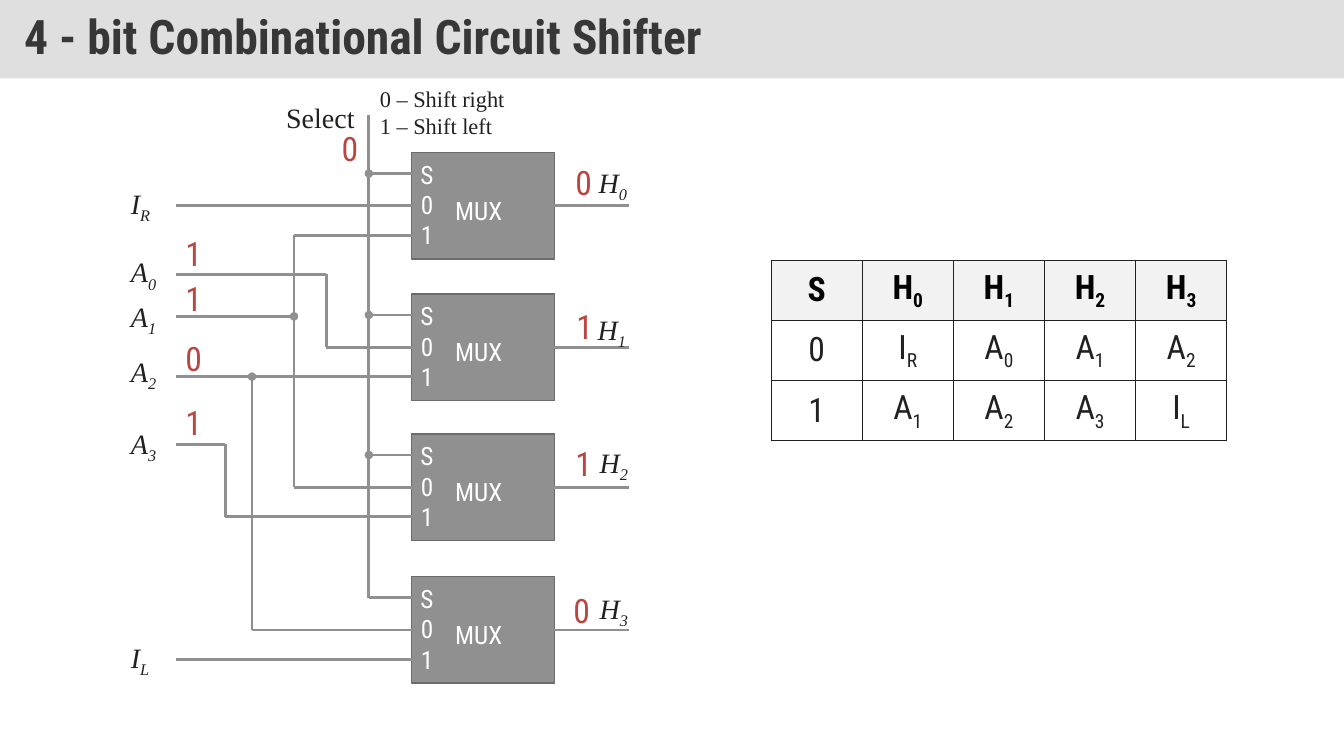
from dataclasses import dataclass
from itertools import pairwise

from pptx import Presentation
from pptx.dml.color import RGBColor
from pptx.enum.shapes import MSO_CONNECTOR, MSO_SHAPE
from pptx.enum.text import MSO_ANCHOR, MSO_AUTO_SIZE, PP_ALIGN
from pptx.oxml import parse_xml
from pptx.oxml.ns import nsdecls, qn
from pptx.util import Pt


@dataclass(frozen=True)
class TextStyle:
    font: str
    size: int
    color: str
    bold: bool = False
    italic: bool = False
    align: PP_ALIGN = PP_ALIGN.LEFT


@dataclass(frozen=True)
class Theme:
    title: TextStyle = TextStyle("Roboto Condensed", 34, "373737", bold=True)
    mux: TextStyle = TextStyle("Roboto Condensed", 18, "FFFFFF", align=PP_ALIGN.CENTER)
    signal: TextStyle = TextStyle("Times New Roman", 20, "212121", italic=True)
    select: TextStyle = TextStyle("Times New Roman", 20, "212121")
    legend: TextStyle = TextStyle("Times New Roman", 16, "212121")
    bit: TextStyle = TextStyle("Roboto Condensed", 24, "B84742")
    header: TextStyle = TextStyle("Roboto Condensed", 24, "000000", bold=True, align=PP_ALIGN.CENTER)
    body: TextStyle = TextStyle("Roboto Condensed", 24, "212121", align=PP_ALIGN.CENTER)
    title_band: str = "C0C0C0"
    gray: str = "909090"
    outline: str = "6B6B6B"
    header_fill: str = "F2F2F2"
    border: str = "212121"


THEME = Theme()


def write(paragraph, text, style):
    """Write text in a style; the part after an underscore becomes a subscript."""
    paragraph.alignment = style.align
    for index, part in enumerate(text.split("_")):
        run = paragraph.add_run()
        run.text = part
        run.font.name = style.font
        run.font.size = Pt(style.size)
        run.font.bold = style.bold
        run.font.italic = style.italic
        run.font.color.rgb = RGBColor.from_string(style.color)
        if index:
            run._r.get_or_add_rPr().set("baseline", "-25000")


presentation = Presentation()
presentation.slide_width, presentation.slide_height = Pt(960), Pt(540)
slide = presentation.slides.add_slide(presentation.slide_layouts[5])

# Title band
title = slide.shapes.title
title.left, title.top, title.width, title.height = Pt(0), Pt(0), Pt(960), Pt(56)
title.fill.solid()
title.fill.fore_color.rgb = RGBColor.from_string(THEME.title_band)
band_color = title._element.spPr.find(".//" + qn("a:srgbClr"))
band_color.append(parse_xml(f'<a:alpha {nsdecls("a")} val="50000"/>'))
frame = title.text_frame
frame.auto_size = MSO_AUTO_SIZE.NONE
frame.word_wrap = True
frame.vertical_anchor = MSO_ANCHOR.MIDDLE
frame.margin_left = frame.margin_right = Pt(17.28)
frame.margin_top = frame.margin_bottom = Pt(8.64)
frame.paragraphs[0].line_spacing = 0.9
write(frame.paragraphs[0], "4 - bit Combinational Circuit Shifter", THEME.title)

# Multiplexers, with the wire positions of their inputs and outputs
mux_left, mux_width, mux_height = 294, 102, 76
mux_right = mux_left + mux_width
mux_tops = [109, 210, 310, 412]
select_rows = [top + 15 for top in mux_tops]
zero_rows = [top + mux_height // 2 for top in mux_tops]
one_rows = [top + 59 for top in mux_tops]
sockets = {}
for top, middle in zip(mux_tops, zero_rows):
    mux = slide.shapes.add_shape(
        MSO_SHAPE.RECTANGLE, Pt(mux_left), Pt(top), Pt(mux_width), Pt(mux_height))
    mux.shadow.inherit = False
    mux.fill.solid()
    mux.fill.fore_color.rgb = RGBColor.from_string(THEME.gray)
    mux.line.color.rgb = RGBColor.from_string(THEME.outline)
    mux.line.width = Pt(1)
    sockets[mux_left, middle] = (mux, 1)
    sockets[mux_right, middle] = (mux, 3)

# Wires: corner points, and whether the first point is a junction dot
input_left, select_x, a0_x, a1_x, a2_x, a3_x = 126, 263.5, 233, 210, 180, 161
a0_y, a1_y, a3_y = 196, 226, 317.5
wires = [
    ([(select_x, 82), (select_x, select_rows[3]), (mux_left, select_rows[3])], False),
    ([(input_left, zero_rows[0]), (mux_left, zero_rows[0])], False),
    ([(input_left, a0_y), (a0_x, a0_y), (a0_x, zero_rows[1]), (mux_left, zero_rows[1])], False),
    ([(a1_x, a1_y), (input_left, a1_y)], True),
    ([(mux_left, one_rows[0]), (a1_x, one_rows[0]), (a1_x, zero_rows[2]),
      (mux_left, zero_rows[2])], False),
    ([(input_left, one_rows[1]), (mux_left, one_rows[1])], False),
    ([(a2_x, one_rows[1]), (a2_x, zero_rows[3]), (mux_left, zero_rows[3])], True),
    ([(input_left, a3_y), (a3_x, a3_y), (a3_x, one_rows[2]), (mux_left, one_rows[2])], False),
    ([(input_left, one_rows[3]), (mux_left, one_rows[3])], False),
]
wires += [([(select_x, y), (mux_left, y)], True) for y in select_rows[:3]]
wires += [([(mux_right, y), (449, y)], False) for y in zero_rows]

for points, dotted in wires:
    for start, end in pairwise(points):
        wire = slide.shapes.add_connector(
            MSO_CONNECTOR.STRAIGHT, Pt(start[0]), Pt(start[1]), Pt(end[0]), Pt(end[1]))
        wire.line.color.rgb = RGBColor.from_string(THEME.gray)
        wire.line.width = Pt(2)
        if dotted and start == points[0]:
            wire.line._get_or_add_ln().append(
                parse_xml(f'<a:headEnd {nsdecls("a")} type="oval"/>'))
        wire._element.spPr.append(parse_xml(f'<a:effectLst {nsdecls("a")}/>'))
        if start in sockets:
            wire.begin_connect(*sockets[start])
        if end in sockets:
            wire.end_connect(*sockets[end])

# Labels: lines, style, left, top, width, height
labels = [
    (["Select"], THEME.select, 197.3, 68.4, 65.5, 31.7),
    (["0 – Shift right", "1 – Shift left"], THEME.legend, 264.2, 57.6, 107.3, 46),
    (["0"], THEME.bit, 236.9, 87.8, 26.6, 36),
]
for top in mux_tops:
    labels.append((["S", "0", "1"], THEME.mux, mux_left, top + 1.2, 22, 72.7))
    labels.append((["MUX"], THEME.mux, mux_left - 3, top + 26.8, mux_width, 30.2))
for name, top, width in [
    ("I_R", 129.6, 29.5), ("A_0", 178.6, 35.3), ("A_1", 210.2, 35.3),
    ("A_2", 249.8, 35.3), ("A_3", 301, 35.3), ("I_L", 454.3, 28.1),
]:
    labels.append(([name], THEME.signal, 86.4, top, width, 31.7))
for value, top in [("1", 162.7), ("1", 195.1), ("0", 237.6), ("1", 283.7)]:
    labels.append(([value], THEME.bit, 125.3, top, 26.6, 36))
for index, (value, left, top, bit_left, bit_top) in enumerate([
    ("0", 420.5, 114.5, 403.9, 112.3), ("1", 419.8, 219.6, 404.6, 215.3),
    ("1", 421.2, 314.6, 403.9, 312.5), ("0", 421.2, 419, 402.5, 417.6),
]):
    labels.append(([f"H_{index}"], THEME.signal, left, top, 36, 31.7))
    labels.append(([value], THEME.bit, bit_left, bit_top, 26.6, 36))

for lines, style, left, top, width, height in labels:
    frame = slide.shapes.add_textbox(Pt(left), Pt(top), Pt(width), Pt(height)).text_frame
    frame.word_wrap = style is THEME.mux
    frame.auto_size = MSO_AUTO_SIZE.SHAPE_TO_FIT_TEXT
    if style is THEME.mux:
        frame.margin_left = frame.margin_right = Pt(0)
    for index, line in enumerate(lines):
        paragraph = frame.add_paragraph() if index else frame.paragraphs[0]
        write(paragraph, line, style)

# Function table
function_rows = [
    ["S", "H_0", "H_1", "H_2", "H_3"],
    ["0", "I_R", "A_0", "A_1", "A_2"],
    ["1", "A_1", "A_2", "A_3", "I_L"],
]
table = slide.shapes.add_table(3, 5, Pt(550.8), Pt(185.8), Pt(325.5), Pt(129)).table
table.first_row = table.horz_banding = False
for column in table.columns:
    column.width = Pt(65.1)
for row_index, names in enumerate(function_rows):
    table.rows[row_index].height = Pt(43)
    for column_index, name in enumerate(names):
        cell = table.cell(row_index, column_index)
        cell.vertical_anchor = MSO_ANCHOR.MIDDLE
        write(cell.text_frame.paragraphs[0], name, THEME.body if row_index else THEME.header)
        properties = cell._tc.get_or_add_tcPr()
        for side in ("lnL", "lnR", "lnT", "lnB"):
            properties.append(parse_xml(
                f'<a:{side} {nsdecls("a")} w="{Pt(1)}"><a:solidFill>'
                f'<a:srgbClr val="{THEME.border}"/></a:solidFill></a:{side}>'))
        if row_index:
            cell.fill.background()
        else:
            cell.fill.solid()
            cell.fill.fore_color.rgb = RGBColor.from_string(THEME.header_fill)

presentation.save("out.pptx")
